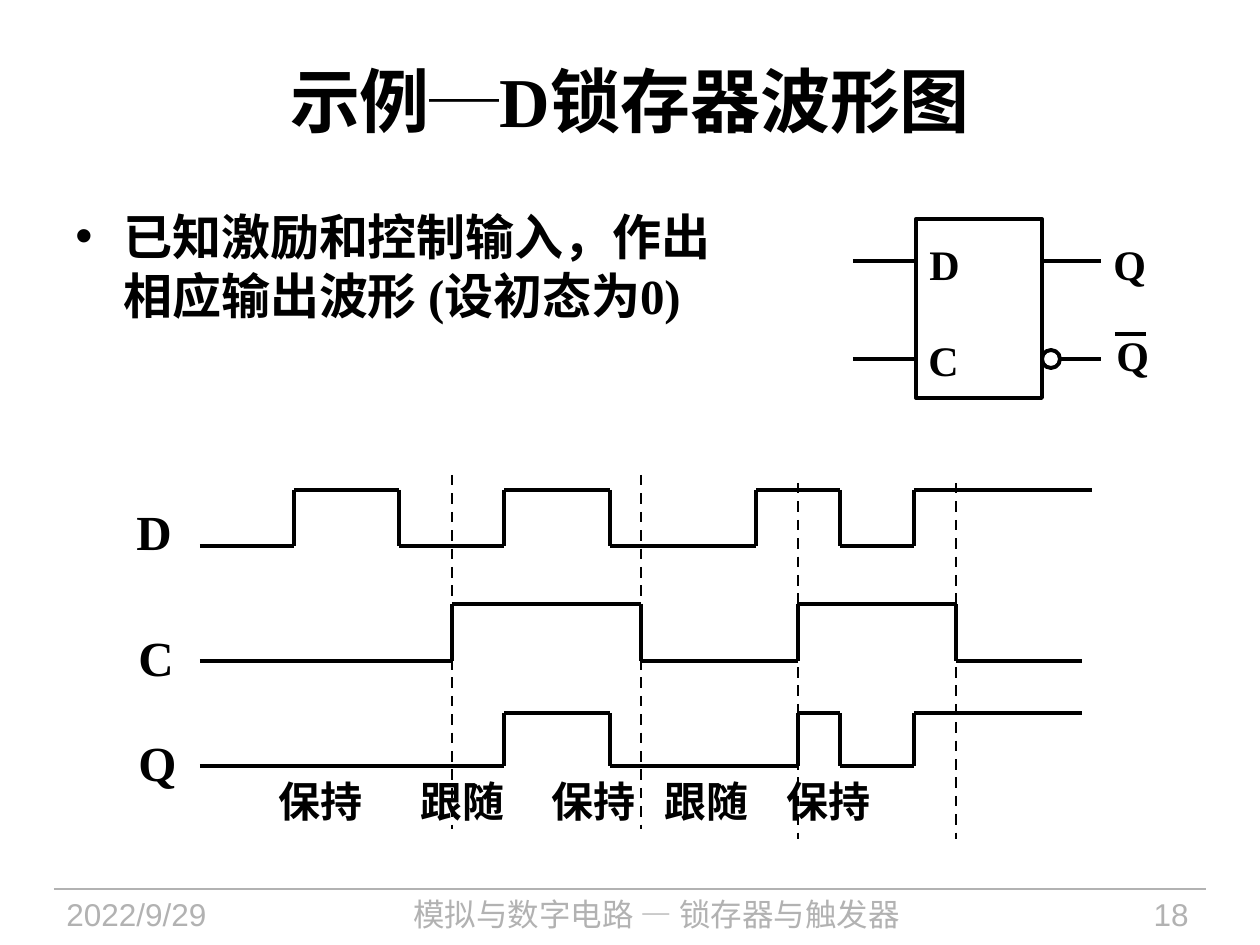
from dataclasses import dataclass
from itertools import pairwise

import lxml.etree
import pptx
import pptx.dml.color
import pptx.enum.dml
import pptx.enum.shapes
import pptx.enum.text
import pptx.oxml.ns
import pptx.util

PX_PER_INCH = 126
ALIGN = pptx.enum.text.PP_ALIGN
SHAPE = pptx.enum.shapes.MSO_SHAPE


@dataclass(frozen=True)
class Theme:
    ink: str = "000000"
    muted: str = "B2B2B2"
    paper: str = "FFFFFF"
    serif: str = "Times New Roman"
    sans: str = "Arial"
    chinese: str = "Noto Sans CJK SC"
    title: int = 40
    body: int = 28
    label: int = 24
    footer: int = 18
    stroke: float = 2.25
    guide: float = 1.5
    hairline: float = 0.75


THEME = Theme()


def px(length):
    return pptx.util.Emu(round(length * 914400 / PX_PER_INCH))


def rgb(value):
    return pptx.dml.color.RGBColor.from_string(value)


def add_child(parent, tag, **attributes):
    return lxml.etree.SubElement(parent, pptx.oxml.ns.qn(tag), attributes)


def add_line(shapes, start, end, color=THEME.ink, width=THEME.stroke, dashed=False):
    line = shapes.add_connector(
        pptx.enum.shapes.MSO_CONNECTOR.STRAIGHT, *map(px, (*start, *end)))
    line.line.color.rgb = rgb(color)
    line.line.width = pptx.util.Pt(width)
    if dashed:
        line.line.dash_style = pptx.enum.dml.MSO_LINE.DASH
    add_child(line._element.spPr, "a:effectLst")


def add_outline(shapes, kind, box, fill=None):
    shape = shapes.add_shape(kind, *map(px, box))
    shape.shadow.inherit = False
    if fill:
        shape.fill.solid()
        shape.fill.fore_color.rgb = rgb(fill)
    else:
        shape.fill.background()
    shape.line.color.rgb = rgb(THEME.ink)
    shape.line.width = pptx.util.Pt(THEME.stroke)


def add_text(shapes, text, box, size, font=THEME.serif, color=THEME.ink, bold=True,
             align=ALIGN.LEFT, wrap=True, middle=False, hanging=0, tabs=()):
    frame = shapes.add_textbox(*map(px, box)).text_frame
    frame.word_wrap = wrap
    if middle:
        frame.vertical_anchor = pptx.enum.text.MSO_ANCHOR.MIDDLE
    paragraph = frame.paragraphs[0]
    paragraph.text = text
    paragraph.alignment = align
    properties = paragraph._p.get_or_add_pPr()
    if hanging:
        properties.set("marL", str(px(hanging)))
        properties.set("indent", str(px(-hanging)))
        add_child(properties, "a:buFont", typeface=THEME.sans)
        add_child(properties, "a:buChar", char="•")
    if tabs:
        tab_list = add_child(properties, "a:tabLst")
        for position in tabs:
            add_child(tab_list, "a:tab", pos=str(px(position)), algn="l")
    paragraph.font.size = pptx.util.Pt(size)
    paragraph.font.bold = bold
    paragraph.font.color.rgb = rgb(color)
    paragraph.font.name = font
    add_child(paragraph.font._element if hasattr(paragraph.font, "_element")
              else paragraph.font._rPr, "a:ea", typeface=THEME.chinese)


def add_waveform(slide, edges, end, high, low):
    """Draw a signal that starts low and toggles at each edge."""
    shapes = slide.shapes.add_group_shape().shapes
    points = [(200, low)]
    level, other = low, high
    for x in edges:
        points += [(x, level), (x, other)]
        level, other = other, level
    points.append((end, level))
    for start, finish in pairwise(points):
        add_line(shapes, start, finish)


def add_latch_symbol(slide):
    shapes = slide.shapes.add_group_shape().shapes
    add_outline(shapes, SHAPE.RECTANGLE, (916, 219, 126, 179))
    # Input and output pins
    for y, output_start in ((261, 1042), (359, 1059)):
        add_line(shapes, (853, y), (916, y))
        add_line(shapes, (output_start, y), (1101, y))
    add_outline(shapes, SHAPE.OVAL, (1042, 350, 18, 18), THEME.paper)
    # Pin names, with the bar over the inverted output
    for name, left, top in (("D", 917, 232), ("C", 916, 328),
                            ("Q", 1101, 232), ("Q", 1104, 323)):
        add_text(shapes, name, (left, top, 58, 63), THEME.label, wrap=False)
    add_line(shapes, (1115, 334), (1146, 334))


def add_footer(slide):
    add_line(slide.shapes, (54, 889), (1206, 889), THEME.muted, THEME.hairline)
    for text, left, width, font, align in (
            ("2022/9/29", 54, 237, THEME.sans, ALIGN.LEFT),
            ("模拟与数字电路 — 锁存器与触发器", 302, 709, THEME.chinese, ALIGN.CENTER),
            ("18", 1033, 168, THEME.sans, ALIGN.RIGHT)):
        add_text(slide.shapes, text, (left, 889, width, 55), THEME.footer,
                 font, THEME.muted, bold=False, align=align)


def add_timing_diagram(slide):
    # Signals: name, label position, edges, end, high and low levels
    for name, left, top, edges, end, high, low in (
            ("D", 124, 495, (294, 399, 504, 610, 756, 840, 914), 1092, 490, 546),
            ("C", 126, 621, (452, 641, 798, 956), 1082, 604, 661),
            ("Q", 126, 726, (504, 610, 798, 840, 914), 1082, 713, 766)):
        add_text(slide.shapes, name, (left, top, 62, 72), THEME.body, wrap=False)
        add_waveform(slide, edges, end, high, low)
    # Guides at the edges of C
    for x, top, bottom in ((452, 475, 829), (641, 475, 829),
                           (798, 483, 839), (956, 483, 839)):
        add_line(slide.shapes, (x, top), (x, bottom), width=THEME.guide, dashed=True)
    # Latch state in each interval
    add_text(slide.shapes, "保持\t跟随\t保持\t跟随\t保持", (266, 769, 823, 63),
             THEME.label, THEME.chinese, tabs=(142, 273, 386, 508))


def main():
    presentation = pptx.Presentation()
    presentation.slide_width, presentation.slide_height = px(1260), px(945)
    slide = presentation.slides.add_slide(presentation.slide_layouts[6])
    add_footer(slide)
    # Heading and task
    add_text(slide.shapes, "示例─D锁存器波形图", (63, 21, 1134, 158), THEME.title,
             align=ALIGN.CENTER, middle=True)
    add_text(slide.shapes, "已知激励和控制输入，作出相应输出波形 (设初态为0)",
             (63, 200, 696, 163), THEME.body, hanging=48)
    add_timing_diagram(slide)
    add_latch_symbol(slide)
    presentation.save("out.pptx")


if __name__ == "__main__":
    main()
